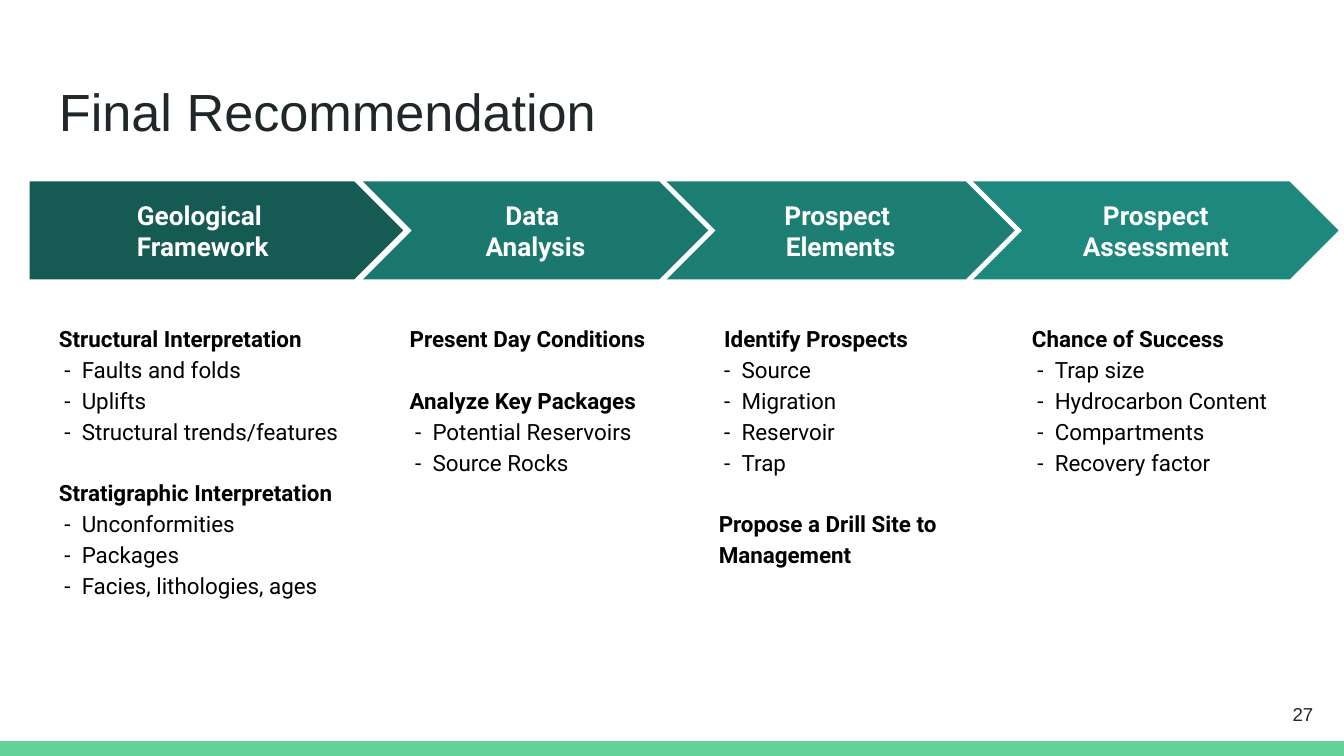
from pptx import Presentation
from pptx.dml.color import RGBColor
from pptx.enum.shapes import MSO_SHAPE as SHAPE
from pptx.enum.text import MSO_ANCHOR as ANCHOR, PP_ALIGN as ALIGN
from pptx.util import Inches, Pt

W = 10
H = W * 9 / 16
WHITE = RGBColor(0xFF, 0xFF, 0xFF)
BLACK = RGBColor(0x00, 0x00, 0x00)
INK = RGBColor(0x20, 0x27, 0x29)
GREEN = RGBColor(0x63, 0xD2, 0x97)
TEALS = [RGBColor(0x15, 0x5B, 0x54), RGBColor(0x1B, 0x78, 0x6E),
         RGBColor(0x1D, 0x7E, 0x74), RGBColor(0x1F, 0x88, 0x7E)]

# Rows of the slide: top, height
TITLE_ROW = (0.49, 0.63)
ARROW_ROW = (1.35, 0.73)
BODY_ROW = (2.29, 2.86)
BAR_HEIGHT = 0.11

# Each stage: arrow (left, width), text (left, width), label lines,
# and sections of (heading, heading indent, items)
STAGES = [
    ((0.22, 2.78), (0.34, 2.36), ["Geological", "Framework"], [
        ("Structural Interpretation", 0,
         ["Faults and folds", "Uplifts", "Structural trends/features"]),
        ("Stratigraphic Interpretation", 0,
         ["Unconformities", "Packages", "Facies, lithologies, ages"])]),
    ((2.70, 2.57), (2.95, 2.07), ["Data ", "Analysis"], [
        ("Present Day Conditions", 0, []),
        ("Analyze Key Packages", 0, ["Potential Reservoirs", "Source Rocks"])]),
    ((4.96, 2.59), (5.25, 1.94), ["Prospect ", "Elements"], [
        ("Identify Prospects", 0.04, ["Source", "Migration", "Reservoir", "Trap"]),
        ("Propose a Drill Site to Management", 0, [])]),
    ((7.24, 2.72), (7.58, 2.04), ["Prospect Assessment"], [
        ("Chance of Success", 0,
         ["Trap size", "Hydrocarbon Content", "Compartments", "Recovery factor"])]),
]


def set_frame(sp, anchor=ANCHOR.TOP):
    tf = sp.text_frame
    tf.word_wrap = True
    tf.vertical_anchor = anchor
    tf.margin_left = tf.margin_right = tf.margin_top = tf.margin_bottom = Inches(0.1)
    return tf


def add_text_box(s, box, anchor=ANCHOR.TOP):
    return set_frame(s.shapes.add_textbox(*map(Inches, box)), anchor)


def add_block(s, kind, box, color):
    sp = s.shapes.add_shape(kind, *map(Inches, box))
    sp.shadow.inherit = False
    sp.fill.solid()
    sp.fill.fore_color.rgb = color
    sp.line.fill.background()
    return sp


def set_indent(p, left, first=0):
    pPr = p._p.get_or_add_pPr()
    pPr.set("marL", str(Inches(left)))
    pPr.set("indent", str(Inches(first)))


def write(p, text, size, color, font="Arial", bold=False):
    p.text = text
    for r in p.runs:
        r.font.name, r.font.size, r.font.bold = font, Pt(size), bold
        r.font.color.rgb = color


def next_paragraph(tf, index):
    return tf.add_paragraph() if index else tf.paragraphs[0]


def add_arrow(s, box, lines, color, first):
    sp = add_block(s, SHAPE.PENTAGON if first else SHAPE.CHEVRON, box, color)
    sp.adjustments[0] = 0.5
    tf = set_frame(sp, ANCHOR.MIDDLE)
    for i, line in enumerate(lines):
        p = next_paragraph(tf, i)
        p.alignment = ALIGN.LEFT if first else ALIGN.CENTER
        if first:
            set_indent(p, 0.7)
        write(p, line, 14, WHITE, "Roboto", True)


def add_sections(s, box, sections):
    tf = add_text_box(s, box)
    for i, (heading, indent, items) in enumerate(sections):
        p = next_paragraph(tf, i)
        p.line_spacing = 1.15
        if i:
            p.space_before = Pt(16.5)
        set_indent(p, indent)
        write(p, heading, 12, BLACK, "Roboto", True)
        # Dashes hang to the left of the items
        for item in items:
            p = tf.add_paragraph()
            p.line_spacing = 1.15
            set_indent(p, 0.17, -0.13)
            write(p, f"-\t{item}", 12, BLACK, "Roboto")


def add_frame(s, box):
    """Title, page number and bottom bar."""
    left, top, width, height = box
    add_block(s, SHAPE.RECTANGLE,
              (left, top + height - BAR_HEIGHT, width, BAR_HEIGHT), GREEN)
    tf = add_text_box(s, (left + 0.34, top + TITLE_ROW[0], width - 0.68, TITLE_ROW[1]))
    write(tf.paragraphs[0], "Final Recommendation", 28, INK)
    tf = add_text_box(s, (left + width - 0.73, top + height - 0.53, 0.6, 0.43),
                      ANCHOR.MIDDLE)
    tf.paragraphs[0].alignment = ALIGN.RIGHT
    write(tf.paragraphs[0], "27", 10, INK)


def main():
    prs = Presentation()
    prs.slide_width, prs.slide_height = Inches(W), Inches(H)
    s = prs.slides.add_slide(prs.slide_layouts[6])
    add_frame(s, (0, 0, W, H))
    # Process stages, left to right
    for i, (arrow, body, lines, sections) in enumerate(STAGES):
        add_arrow(s, (arrow[0], ARROW_ROW[0], arrow[1], ARROW_ROW[1]),
                  lines, TEALS[i], i == 0)
        add_sections(s, (body[0], BODY_ROW[0], body[1], BODY_ROW[1]), sections)
    prs.save("out.pptx")


if __name__ == "__main__":
    main()
